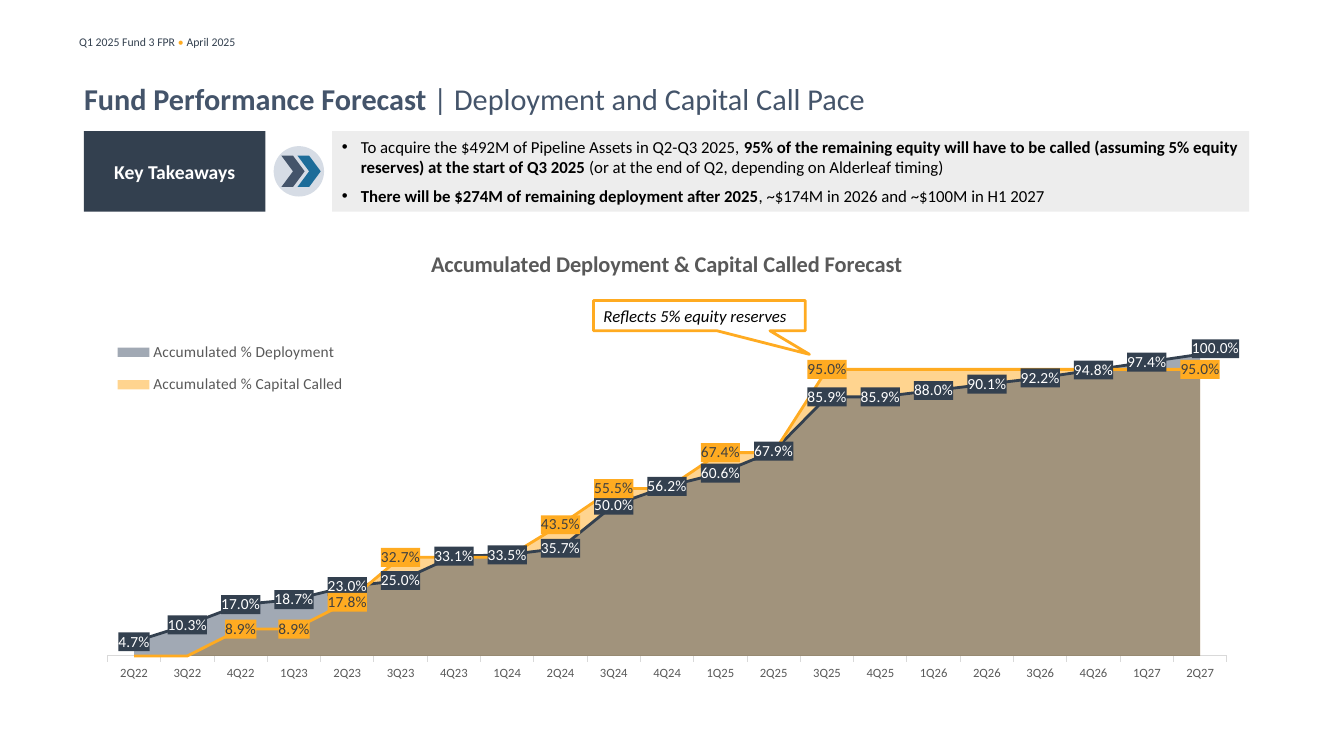
import copy

import pptx
import pptx.chart.data
import pptx.dml.color
import pptx.enum.chart
import pptx.enum.shapes
import pptx.enum.text
import pptx.oxml
import pptx.oxml.ns
import pptx.util

Pt = pptx.util.Pt
SHAPE = pptx.enum.shapes.MSO_SHAPE
ALIGN = pptx.enum.text.PP_ALIGN
ANCHOR = pptx.enum.text.MSO_ANCHOR
TICK = pptx.enum.chart.XL_TICK_MARK
qn = pptx.oxml.ns.qn

FONT = "Calibri"
COLORS = {
    "navy": "33404F", "slate": "44546A", "amber": "FFAB21", "blue": "1C6C99",
    "disc": "D6DCE5", "panel": "EDEDED", "white": "FFFFFF", "black": "000000",
    "gray": "595959", "dark": "404040", "axis": "D9D9D9",
}
QUARTERS = [f"{n % 4 + 1}Q{22 + n // 4}" for n in range(1, 22)]
DEPLOYED_AREA = [0.05, 0.1, 0.17, 0.19, 0.23, 0.25, 0.33, 0.34, 0.36, 0.5, 0.56,
                 0.61, 0.68, 0.86, 0.86, 0.88, 0.9, 0.92, 0.95, 0.97, 1]
CALLED_AREA = [0, 0, 0.09, 0.09, 0.18, 0.33, 0.33, 0.33, 0.44, 0.55, 0.55,
               0.67, 0.67] + [0.95] * 8
DEPLOYED_LINE = [0.047, 0.103, 0.17, 0.187, 0.23, 0.25, 0.331, 0.335, 0.357, 0.5, 0.562,
                 0.606, 0.679, 0.859, 0.859, 0.88, 0.901, 0.922, 0.948, 0.974, 1]
CALLED_LINE = [0, 0, 0.089, 0.089, 0.178, 0.327, 0.327, 0.327, 0.435, 0.555, 0.555,
               0.674, 0.674] + [0.95] * 8
UNLABELED_CALLS = [0, 1, 6, 7, 10, 12, *range(14, 20)]
TAKEAWAYS = [
    [("To acquire the $492M of Pipeline Assets in Q2-Q3 2025, ", False),
     ("95% of the remaining equity will have to be called (assuming 5% equity reserves) "
      "at the start of Q3 2025 ", True),
     ("(or at the end of Q2, depending on Alderleaf timing)", False)],
    [("There will be $274M of remaining deployment after 2025", True),
     (", ~$174M in 2026 and ~$100M in H1 2027", False)],
]


def rgb(color):
    return pptx.dml.color.RGBColor.from_string(COLORS[color])


def xml(markup):
    tag_end = min(i for i in (markup.find(" "), markup.find(">"), markup.find("/")) if i > 0)
    return pptx.oxml.parse_xml(
        f"{markup[:tag_end]} {pptx.oxml.ns.nsdecls('c', 'a')}{markup[tag_end:]}")


def style(font, size, color, bold=False):
    font.name, font.size, font.bold = FONT, Pt(size), bold
    font.color.rgb = rgb(color)


def write(paragraph, size, pieces):
    for words, color, bold in pieces:
        run = paragraph.add_run()
        run.text = words
        style(run.font, size, color, bold)


def add_text(slide, box):
    frame = slide.shapes.add_textbox(*map(Pt, box)).text_frame
    frame.word_wrap = True
    return frame


def add_block(shapes, preset, box, fill=None, line=None):
    block = shapes.add_shape(preset, *map(Pt, box))
    block.shadow.inherit = False
    if fill:
        block.fill.solid()
        block.fill.fore_color.rgb = rgb(fill)
    else:
        block.fill.background()
    if line:
        block.line.color.rgb = rgb(line)
        block.line.width = Pt(2)
    else:
        block.line.fill.background()
    block.text_frame.vertical_anchor = ANCHOR.MIDDLE
    block.text_frame.word_wrap = True
    return block


def add_heading(slide, running_box, title_box):
    running = add_text(slide, running_box)
    write(running.paragraphs[0], 8.4, [
        ("Q1 2025 Fund 3 FPR ", "navy", False), ("• ", "amber", False),
        ("April 2025", "navy", False)])
    title = add_text(slide, title_box)
    title.margin_left = title.margin_right = title.margin_top = title.margin_bottom = 0
    title.vertical_anchor = ANCHOR.MIDDLE
    write(title.paragraphs[0], 21.6, [
        ("Fund Performance Forecast ", "slate", True),
        ("| Deployment and Capital Call Pace", "slate", False)])


def add_takeaways(slide, box):
    left, top, width, height = box
    label = add_block(slide.shapes, SHAPE.RECTANGLE, (left, top, 129.6, height), "navy")
    label_line = label.text_frame.paragraphs[0]
    label_line.alignment = ALIGN.CENTER
    write(label_line, 14, [("Key Takeaways", "white", True)])

    arrows = slide.shapes.add_group_shape().shapes
    add_block(arrows, SHAPE.OVAL, (left + 135.5, top + height / 2 - 18, 36, 36), "disc")
    for step, color in enumerate(("slate", "blue")):
        add_block(arrows, SHAPE.CHEVRON,
                  (left + 141 + 11.5 * step, top + height / 2 - 11.2, 16.6, 22.4), color)

    panel = add_block(slide.shapes, SHAPE.RECTANGLE,
                      (left + 177.2, top, width - 177.2, height), "panel").text_frame
    for index, takeaway in enumerate(TAKEAWAYS):
        paragraph = panel.add_paragraph() if index else panel.paragraphs[0]
        paragraph.alignment = ALIGN.LEFT
        paragraph.space_before = Pt(6 * index)
        properties = paragraph._p.get_or_add_pPr()
        properties.set("marL", str(Pt(13.5)))
        properties.set("indent", str(-Pt(13.5)))
        properties.append(xml('<a:buFont typeface="Arial"/>'))
        properties.append(xml('<a:buChar char="•"/>'))
        write(paragraph, 12, [(words, "black", bold) for words, bold in takeaway])


def layout(box, x, y, w=None, h=None, mode="edge", inner=False):
    width, height = box[2:]
    target = '<c:layoutTarget val="inner"/>' if inner else ""
    modes = f'<c:xMode val="{mode}"/><c:yMode val="{mode}"/>' if mode else ""
    size = f'<c:w val="{w / width:.4f}"/><c:h val="{h / height:.4f}"/>' if w else ""
    return xml(f'<c:layout><c:manualLayout>{target}{modes}<c:x val="{x / width:.4f}"/>'
               f'<c:y val="{y / height:.4f}"/>{size}</c:manualLayout></c:layout>')


def place(parent, new_layout, after=None):
    for old in parent.findall(qn("c:layout")):
        parent.remove(old)
    if after is None:
        parent.insert(0, new_layout)
    else:
        after.addnext(new_layout)


def style_line(series, color, text_color, hidden):
    series.smooth = False
    series.marker.style = pptx.enum.chart.XL_MARKER_STYLE.NONE
    series.format.line.color.rgb = rgb(color)
    series.format.line.width = Pt(2)
    labels = series.data_labels
    labels.show_value = True
    labels.number_format, labels.number_format_is_linked = "0.0%", False
    labels.position = pptx.enum.chart.XL_LABEL_POSITION.CENTER
    style(labels.font, 11, text_color)
    labels._element.find(qn("c:txPr")).addprevious(xml(
        f'<c:spPr><a:solidFill><a:srgbClr val="{COLORS[color]}"/></a:solidFill></c:spPr>'))
    for position, index in enumerate(hidden):
        labels._element.insert(position, xml(
            f'<c:dLbl><c:idx val="{index}"/><c:delete val="1"/></c:dLbl>'))


def shift_label(series, index, offset):
    labels = series.data_labels._element
    label = xml(f'<c:dLbl><c:idx val="{index}"/></c:dLbl>')
    label.append(offset)
    for part in labels:
        if part.tag != qn("c:showLeaderLines"):
            label.append(copy.deepcopy(part))
    labels.insert(0, label)


def add_forecast(slide, box):
    data = pptx.chart.data.CategoryChartData(number_format="0.0%")
    data.categories = QUARTERS
    for name, values in (("Accumulated % Deployment", DEPLOYED_AREA),
                         ("Accumulated % Capital Called", CALLED_AREA),
                         ("Series 3", DEPLOYED_LINE), ("Series 4", CALLED_LINE)):
        data.add_series(name, values)
    chart = slide.shapes.add_chart(
        pptx.enum.chart.XL_CHART_TYPE.AREA, *map(Pt, box), data).chart
    style(chart.font, 10, "black")
    area = chart.plots[0]
    area.vary_by_categories = False

    lines = xml('<c:lineChart><c:grouping val="standard"/><c:varyColors val="0"/></c:lineChart>')
    for series in list(area.series)[2:]:
        lines.append(series._element)
    lines.append(xml('<c:marker val="1"/>'))
    for axis_id in area._element.findall(qn("c:axId")):
        lines.append(copy.deepcopy(axis_id))
    area._element.addnext(lines)

    for series, color in zip(area.series, ("slate", "amber")):
        series.format.fill.solid()
        series.format.fill.fore_color.rgb = rgb(color)
        series.format.line.fill.background()
        series._element.find(".//" + qn("a:srgbClr")).append(xml('<a:alpha val="50000"/>'))
    deployed, called = chart.plots[1].series
    style_line(deployed, "navy", "white", [])
    style_line(called, "amber", "dark", UNLABELED_CALLS)
    shift_label(deployed, len(QUARTERS) - 1, layout(box, 11, -4, mode=None))

    quarters, share = chart.category_axis, chart.value_axis
    quarters.has_major_gridlines = share.has_major_gridlines = False
    quarters.major_tick_mark, share.major_tick_mark = TICK.OUTSIDE, TICK.NONE
    quarters.minor_tick_mark = share.minor_tick_mark = TICK.NONE
    style(quarters.tick_labels.font, 9, "gray")
    quarters.format.line.color.rgb = rgb("axis")
    quarters.format.line.width = Pt(0.75)
    share.minimum_scale, share.maximum_scale = 0, 1.2
    share.tick_label_position = pptx.enum.chart.XL_TICK_LABEL_POSITION.NONE
    share.format.line.fill.background()
    share._element.find(qn("c:crossBetween")).set("val", "between")
    place(area._element.getparent(), layout(box, 16.7, 45.8, 799.6, 258.6, inner=True))

    chart.has_title = True
    title = chart.chart_title
    title.text_frame.text = "Accumulated Deployment & Capital Called Forecast"
    style(title.text_frame.paragraphs[0].runs[0].font, 16, "gray", True)
    place(title._element, layout(box, 245, 10.8), title._element.find(qn("c:tx")))

    chart.has_legend = True
    legend = chart.legend
    legend.position = pptx.enum.chart.XL_LEGEND_POSITION.LEFT
    legend.include_in_layout = True
    style(legend.font, 11, "gray")
    legend_side = legend._element.find(qn("c:legendPos"))
    place(legend._element, layout(box, 13, 71, 183, 56), legend_side)
    for index in (3, 2):
        legend_side.addnext(xml(
            f'<c:legendEntry><c:idx val="{index}"/><c:delete val="1"/></c:legendEntry>'))

    left, top = box[:2]
    note = add_block(slide.shapes, SHAPE.RECTANGULAR_CALLOUT,
                     (left + 364, top + 50.5, 151.2, 21.6), line="amber")
    note.adjustments[0], note.adjustments[1] = 0.52, 1.28
    note_line = note.text_frame.paragraphs[0]
    note_line.alignment = ALIGN.LEFT
    write(note_line, 12, [("Reflects 5% equity reserves", "black", False)])
    note_line.runs[0].font.italic = True


def main():
    deck = pptx.Presentation()
    deck.slide_width, deck.slide_height = Pt(960), Pt(540)
    slide = deck.slides.add_slide(deck.slide_layouts[6])
    add_heading(slide, (49.5, 21, 325, 17.3), (60, 43.2, 793.5, 54))
    add_takeaways(slide, (60, 93.6, 832.3, 57.6))
    add_forecast(slide, (60, 164.2, 832.3, 328.3))
    deck.save("out.pptx")


if __name__ == "__main__":
    main()
